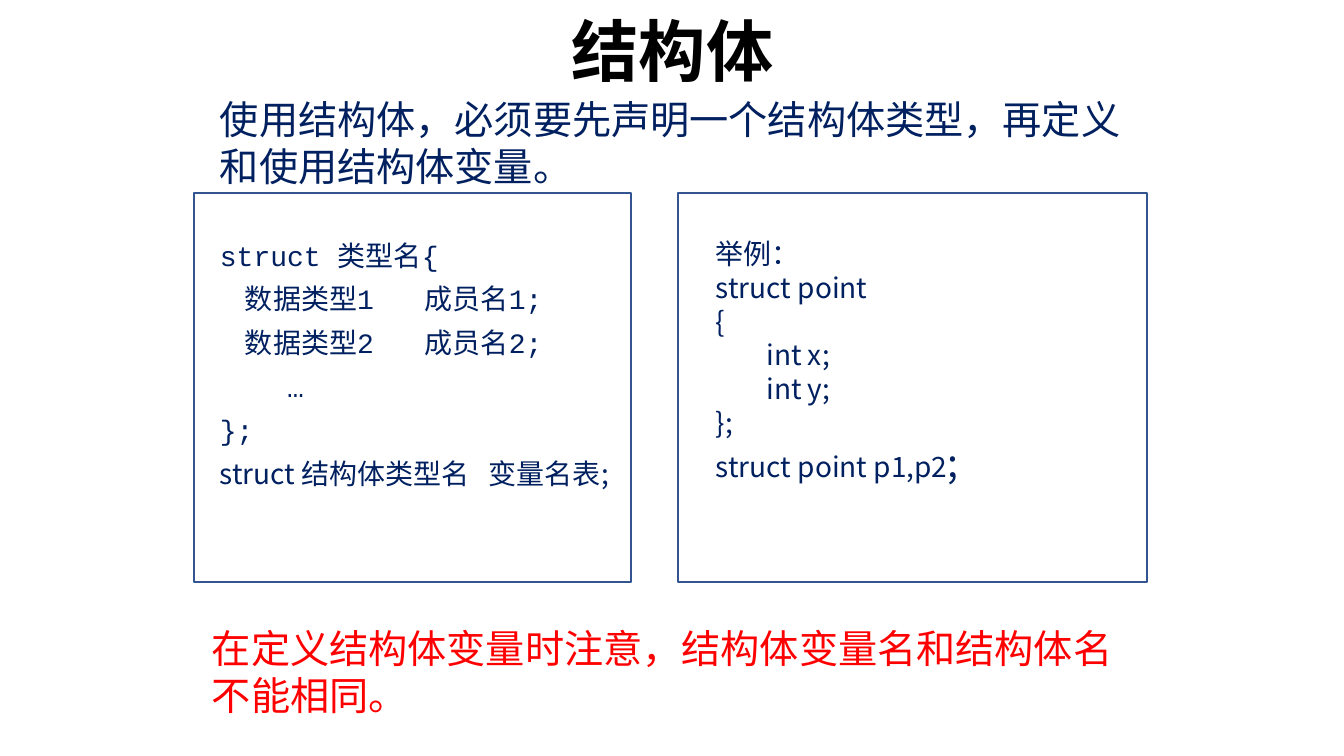
from dataclasses import dataclass

from lxml.etree import SubElement
from pptx import Presentation
from pptx.dml.color import RGBColor
from pptx.enum.shapes import MSO_SHAPE as Shape
from pptx.enum.text import MSO_ANCHOR as Anchor, MSO_AUTO_SIZE as AutoSize, PP_ALIGN as Align
from pptx.oxml.ns import qn
from pptx.util import Emu, Pt

EMU_PER_PX = 914400 / 100.8


@dataclass(frozen=True)
class Theme:
    ink: RGBColor = RGBColor(0x00, 0x20, 0x60)
    warning: RGBColor = RGBColor(0xFF, 0x00, 0x00)
    heading: RGBColor = RGBColor(0x00, 0x00, 0x00)
    panel: RGBColor = RGBColor(0xFF, 0xFF, 0xFF)
    border: RGBColor = RGBColor(0x32, 0x54, 0x91)
    title_size: int = 48
    statement_size: int = 28
    code_size: int = 20
    sans: str = "Noto Sans CJK SC"
    title_face: str = "Noto Sans CJK JP"
    mono: str = "Courier New"


def px(length):
    return Emu(round(length * EMU_PER_PX))


class SlideBuilder:
    def __init__(self, slide, theme):
        self.slide = slide
        self.theme = theme

    def run(self, paragraph, text, size, color, face, east_asian=None, bold=False):
        run = paragraph.add_run()
        run.text = text
        font = run.font
        font.size, font.bold, font.name = Pt(size), bold, face
        font.color.rgb = color
        SubElement(font._element, qn("a:ea")).set("typeface", east_asian or face)

    def title(self, text, left, top, width, height):
        heading = self.slide.shapes.title
        heading.left, heading.top = px(left), px(top)
        heading.width, heading.height = px(width), px(height)
        frame = heading.text_frame
        frame.auto_size = AutoSize.NONE
        frame.vertical_anchor = Anchor.MIDDLE
        paragraph = frame.paragraphs[0]
        paragraph.alignment = Align.CENTER
        paragraph.line_spacing = 0.9
        paragraph.space_before = Pt(0)
        theme = self.theme
        self.run(paragraph, text, theme.title_size, theme.heading, theme.title_face, bold=True)

    def panel(self, left, top, width, height):
        panel = self.slide.shapes.add_shape(
            Shape.RECTANGLE, px(left), px(top), px(width), px(height))
        panel.shadow.inherit = False
        panel.fill.solid()
        panel.fill.fore_color.rgb = self.theme.panel
        panel.line.color.rgb = self.theme.border
        panel.line.width = Pt(1)

    def frame(self, left, top, width, height):
        frame = self.slide.shapes.add_textbox(
            px(left), px(top), px(width), px(height)).text_frame
        frame.word_wrap = True
        return frame

    def statement(self, text, color, left, top, width, height):
        paragraph = self.frame(left, top, width, height).paragraphs[0]
        self.run(paragraph, text, self.theme.statement_size, color, self.theme.sans)

    def code(self, lines, left, top, width, height, spacing=1.0, alignment=Align.LEFT):
        frame = self.frame(left, top, width, height)
        for index, runs in enumerate(lines):
            paragraph = frame.add_paragraph() if index else frame.paragraphs[0]
            paragraph.line_spacing = spacing
            paragraph.alignment = alignment
            for text, face, size in runs:
                self.run(paragraph, text, size, self.theme.ink, face, self.theme.sans)


def main():
    deck = Presentation()
    deck.slide_width, deck.slide_height = px(1344), px(756)
    theme = Theme()
    builder = SlideBuilder(deck.slides.add_slide(deck.slide_layouts[5]), theme)

    builder.title("结构体", 382, 10, 581, 90)
    builder.statement("使用结构体，必须要先声明一个结构体类型，再定义和使用结构体变量。",
                      theme.ink, 210, 90, 924, 105)
    builder.statement("在定义结构体变量时注意，结构体变量名和结构体名不能相同。",
                      theme.warning, 202, 619, 944, 105)

    for left, width in ((194, 437), (678, 469)):
        builder.panel(left, 193, width, 389)

    declaration = ["struct 类型名{", "    数据类型1   成员名1;", "    数据类型2   成员名2;",
                   "    …", "};"]
    syntax = [[(line, theme.mono, theme.code_size)] for line in declaration]
    syntax.append([("struct 结构体类型名   变量名表;", theme.sans, theme.code_size)])
    builder.code(syntax, 210, 223, 449, 270, spacing=1.3)

    point_struct = ["举例：", "struct point", "{", "\tint x;", "\tint y;", "};"]
    example = [[(line, theme.sans, theme.code_size)] for line in point_struct]
    example.append([("struct point p1,p2", theme.sans, theme.code_size),
                    (";", theme.sans, theme.statement_size)])
    builder.code(example, 706, 232, 436, 261, alignment=Align.JUSTIFY)

    deck.save("out.pptx")


if __name__ == "__main__":
    main()
